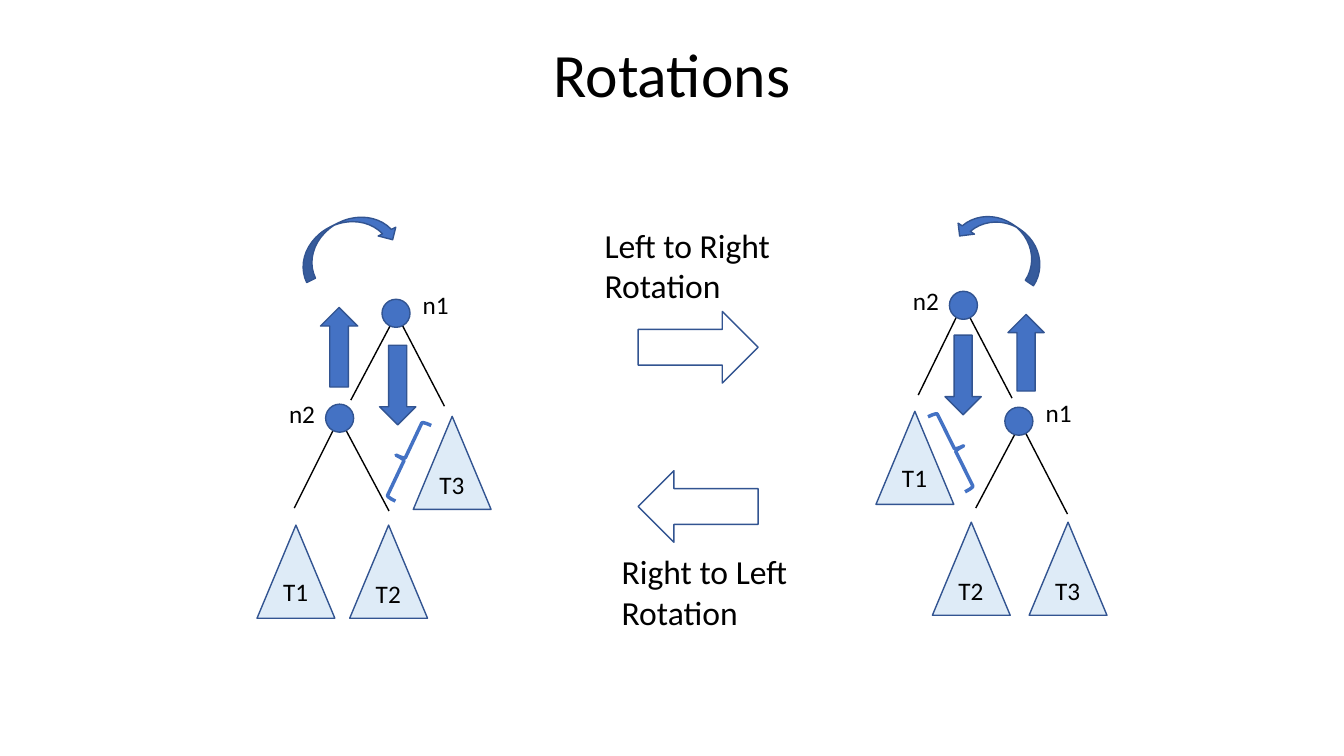
from pptx import Presentation
from pptx.dml.color import RGBColor
from pptx.enum.shapes import MSO_CONNECTOR, MSO_SHAPE
from pptx.enum.text import MSO_ANCHOR, MSO_AUTO_SIZE, PP_ALIGN
from pptx.oxml.ns import qn
from pptx.util import Pt
from lxml.etree import SubElement

theme = {
    "blue": RGBColor(0x44, 0x72, 0xC4),
    "edge": RGBColor(0x32, 0x54, 0x91),
    "pale": RGBColor(0xDE, 0xEB, 0xF7),
    "black": RGBColor(0, 0, 0),
    "font": "Calibri",
    "title": Pt(44),
    "head": Pt(24),
    "label": Pt(18),
}

deck = Presentation()
deck.slide_width, deck.slide_height = Pt(960), Pt(540)
slide = deck.slides.add_slide(deck.slide_layouts[5])
shapes = slide.shapes


def draw(kind, box, fill=None, line="edge", width=1, turn=0):
    shape = shapes.add_shape(kind, *map(Pt, box))
    shape.shadow.inherit = False
    shape.rotation = turn
    if fill:
        shape.fill.solid()
        shape.fill.fore_color.rgb = theme[fill]
    else:
        shape.fill.background()
    shape.line.color.rgb = theme[line]
    shape.line.width = Pt(width)
    return shape


def write(shape, text, size, **form):
    frame = shape.text_frame
    frame.text = text
    for key, value in form.items():
        setattr(frame, key, value)
    look = {"name": theme["font"], "size": theme[size]}
    for run in frame.paragraphs[0].runs:
        for key, value in look.items():
            setattr(run.font, key, value)
        run.font.color.rgb = theme["black"]


title = shapes.title
place = {"left": 66, "top": 11, "width": 828, "height": 89}
for key, value in place.items():
    setattr(title, key, Pt(value))
write(title, "Rotations", "title", vertical_anchor=MSO_ANCHOR.MIDDLE)
for key, value in {"alignment": PP_ALIGN.CENTER, "line_spacing": 0.9}.items():
    setattr(title.text_frame.paragraphs[0], key, value)

trees = [
    {
        "edges": [
            (283, 224.6, 250.6, 285.8), (283, 223.9, 317.5, 290.2),
            (242.6, 298.1, 210.2, 362.9), (242.6, 298.8, 277.9, 365),
        ],
        "nodes": {"n1": (272.9, 213.8), "n2": (232.6, 288.7)},
        "leaves": {"T1": (183.6, 375.1, 33), "T2": (249.8, 375.1, 34.5),
                   "T3": (295.2, 297.4, 34.5)},
        "up": (213.8, 234.7, 56.9, 26.6),
        "down": (255.6, 262.1, 56.9, 25.9),
        "brace": (282.2, 298.1, 13.7, 59.8),
        "tilt": 205.3,
        "curve": (232.6, 134.6, 28.1, 75.6),
        "turn": 243.5,
        "flip": False,
    },
    {
        "edges": [
            (729.4, 301.7, 697, 362.9), (727.9, 300.2, 762.5, 367.2),
            (687.6, 217.4, 655.9, 282.2), (688.3, 218.2, 722.9, 284.4),
        ],
        "nodes": {"n1": (717.8, 290.9), "n2": (678.2, 208.1)},
        "leaves": {"T1": (625.7, 293.8, 33), "T2": (666, 373, 34.5),
                   "T3": (735.1, 373, 34.5)},
        "up": (705.6, 239, 54.7, 25.9),
        "down": (659.5, 254.9, 56.9, 25.9),
        "brace": (675.4, 291.6, 13.7, 59.8),
        "tilt": 333.7,
        "curve": (702.7, 137.5, 28.1, 70.6),
        "turn": 304,
        "flip": True,
    },
]
shift = {"n1": (22, -10.8), "n2": (-33.2, -7.9)}
notes = []

for tree in trees:
    for ends in tree["edges"]:
        edge = shapes.add_connector(MSO_CONNECTOR.STRAIGHT, *map(Pt, ends))
        edge.line.color.rgb = theme["black"]
        edge.line.width = Pt(1)
        SubElement(edge._element.spPr, qn("a:effectLst"))
    for name, (x, y) in tree["nodes"].items():
        draw(MSO_SHAPE.OVAL, (x, y, 20, 20), "blue")
        dx, dy = shift[name]
        notes.append((name, (x + dx, y + dy, 33, 29), "label"))
    for name, (x, y, drop) in tree["leaves"].items():
        draw(MSO_SHAPE.ISOSCELES_TRIANGLE, (x, y, 55.6, 66.5), "pale")
        notes.append((name, (x + 11.5, y + drop, 32.4, 29), "label"))
    for way, turn in (("up", 270), ("down", 90)):
        draw(MSO_SHAPE.RIGHT_ARROW, tree[way], "blue", turn=turn)
    draw(MSO_SHAPE.RIGHT_BRACE, tree["brace"], None, "blue", 2.5, tree["tilt"])
    curve = draw(MSO_SHAPE.CURVED_LEFT_ARROW, tree["curve"], "blue",
                 turn=tree["turn"])
    if tree["flip"]:
        curve._element.spPr.xfrm.set("flipV", "1")

for top, turn in ((222.5, 0), (336.2, 180)):
    draw(MSO_SHAPE.RIGHT_ARROW, (455.8, top, 85.7, 51.1), turn=turn)

notes += [
    ("Left to Right \vRotation", (424.8, 157, 139.7, 65.5), "head"),
    ("Right to Left\vRotation", (437, 390.2, 133.9, 65.5), "head"),
]
for text, box, size in notes:
    write(shapes.add_textbox(*map(Pt, box)), text, size,
          word_wrap=False, auto_size=MSO_AUTO_SIZE.SHAPE_TO_FIT_TEXT)

deck.save("out.pptx")
